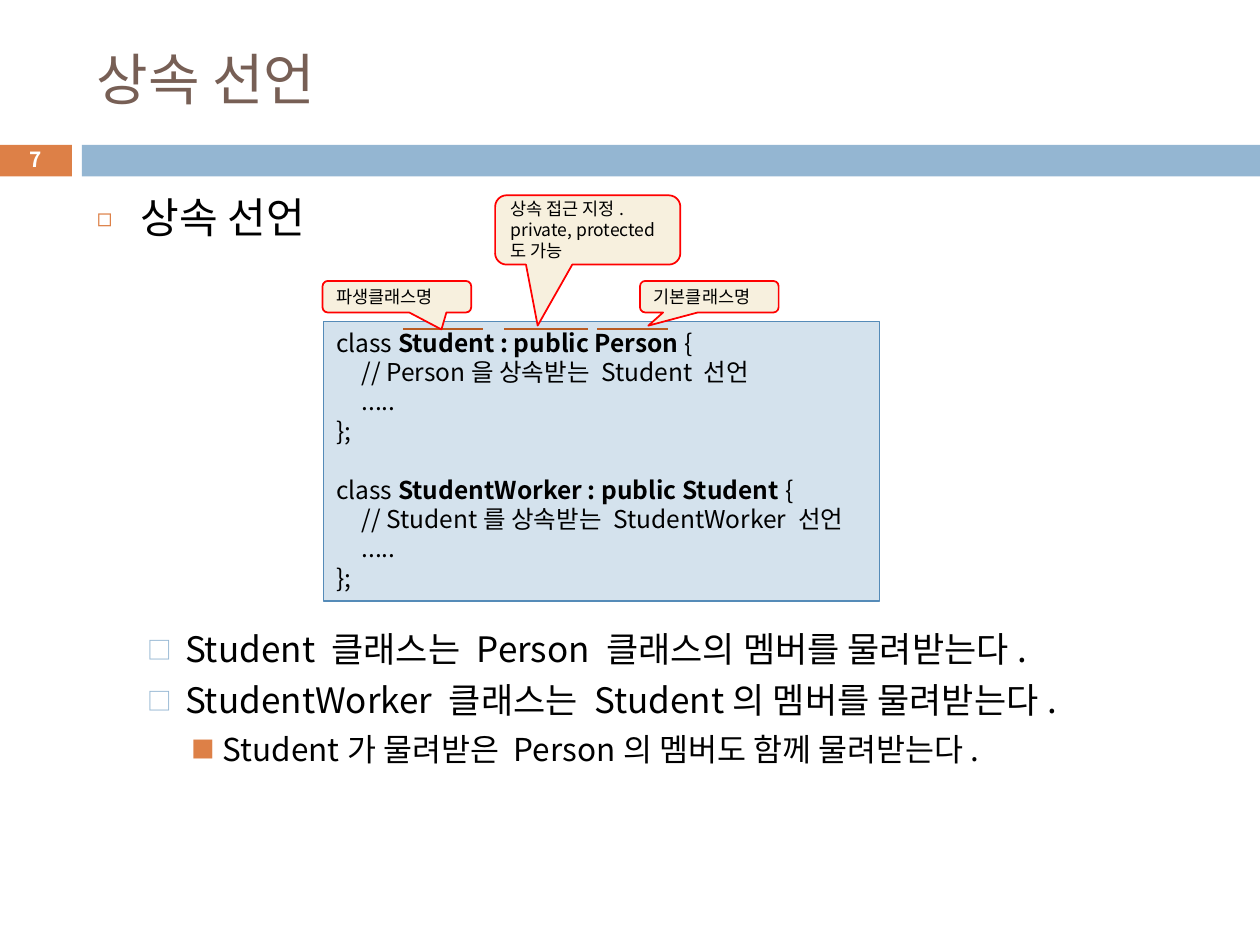
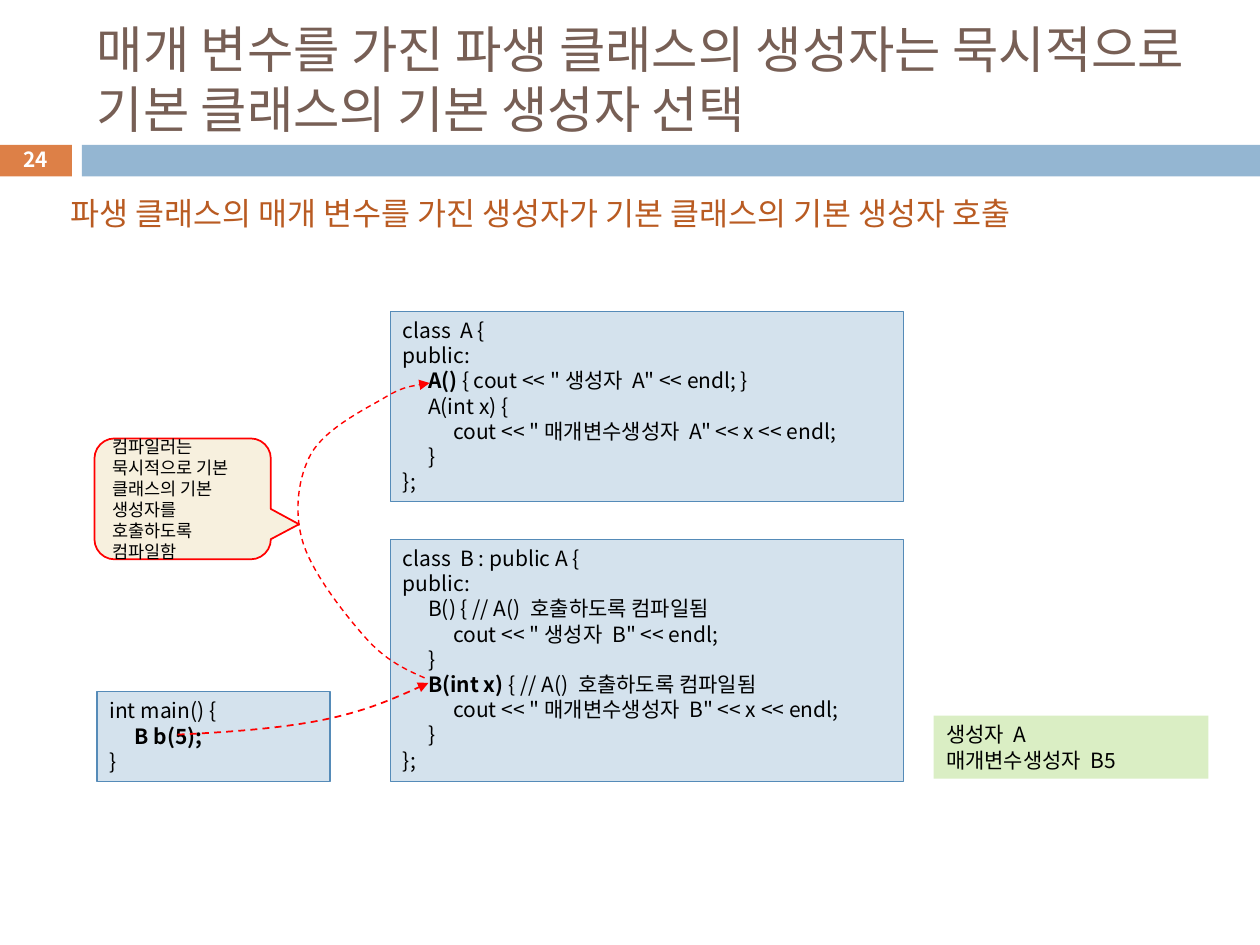
from pptx import Presentation
from pptx import util as u
from pptx.dml.color import RGBColor
from pptx.enum import dml, shapes, text
from pptx.oxml.ns import qn
from lxml import etree

COLS, ROWS = 100, 75        # grid of the 10 x 7.5 inch slide
CELL = u.Inches(0.1)
FONT = "Noto Sans CJK KR"
LINE_HEIGHT = 1.2           # line pitch as a multiple of the text size

BLACK = RGBColor(0x00, 0x00, 0x00)
WHITE = RGBColor(0xFF, 0xFF, 0xFF)
BROWN = RGBColor(0x77, 0x5F, 0x55)
ORANGE = RGBColor(0xDD, 0x80, 0x47)
RUST = RGBColor(0xB9, 0x5B, 0x22)
BAND = RGBColor(0x94, 0xB6, 0xD2)
CODE_FILL = RGBColor(0xD4, 0xE2, 0xED)
CODE_LINE = RGBColor(0x55, 0x8B, 0xB8)
CREAM = RGBColor(0xF7, 0xF0, 0xDE)
RED = RGBColor(0xFF, 0x00, 0x00)
GREEN = RGBColor(0xDA, 0xEE, 0xC4)

# Bullet levels: size, indent, hanging (cells), space before, mark, colour, percent
LEVELS = [
    (24, 3.5, 3.5, 7, "◻", ORANGE, 60),
    (20, 7, 3, 5.5, "□", BAND, 70),
    (18, 10, 2.5, 5, "■", ORANGE, 75),
]


def grid(*cells):
    """Turn grid cells into lengths."""
    return [u.Emu(round(c * CELL)) for c in cells]


def sub(parent, tag, **attrs):
    el = etree.SubElement(parent, qn(tag))
    for name, value in attrs.items():
        el.set(name, str(value))
    return el


def write(tf, line, size=12, color=BLACK, bold=False, align=text.PP_ALIGN.LEFT,
          before=0, tabs=()):
    """Add one paragraph; parts between ** marks are bold."""
    p = tf.paragraphs[0] if not tf.text else tf.add_paragraph()
    p.alignment = align
    p.line_spacing = u.Pt(round(size * LINE_HEIGHT, 1))
    p.space_before = u.Pt(before)
    if tabs:
        stops = sub(p._p.get_or_add_pPr(), "a:tabLst")
        for pos in grid(*tabs):
            sub(stops, "a:tab", pos=pos, algn="l")
    for i, part in enumerate(line.split("**")):
        if part:
            r = p.add_run()
            r.text = part
            r.font.size = u.Pt(size)
            r.font.name = FONT
            r.font.bold = bold or i % 2 == 1
            r.font.color.rgb = color
            sub(r._r.get_or_add_rPr(), "a:ea", typeface=FONT)
    return p


class Deck:
    def __init__(self):
        self.prs = Presentation()
        self.prs.slide_width, self.prs.slide_height = grid(COLS, ROWS)
        self.s = None

    def slide(self, number, title, size):
        """Start a slide with the shared bands, title and number."""
        self.s = self.prs.slides.add_slide(self.prs.slide_layouts[6])
        self.shape((-0.1, 11.5, 5.8, 2.5), ORANGE)
        self.shape((6.5, 11.5, 93.5, 2.5), BAND)
        middle = text.MSO_ANCHOR.MIDDLE
        write(self.textbox((6.7, 2.5, 89.2, 7.4), middle), title, size=size, color=BROWN)
        write(self.textbox((-0.1, 11.3, 5.8, 2.7), middle), str(number), size=11.9,
              color=WHITE, bold=True, align=text.PP_ALIGN.CENTER)

    def textbox(self, box, anchor=text.MSO_ANCHOR.TOP):
        tf = self.s.shapes.add_textbox(*grid(*box)).text_frame
        tf.word_wrap = True
        tf.vertical_anchor = anchor
        return tf

    def shape(self, box, fill, line=None, width=0.75,
              kind=shapes.MSO_SHAPE.RECTANGLE, anchor=text.MSO_ANCHOR.TOP):
        sp = self.s.shapes.add_shape(kind, *grid(*box))
        sp.shadow.inherit = False
        sp.fill.solid()
        sp.fill.fore_color.rgb = fill
        if line is None:
            sp.line.fill.background()
        else:
            sp.line.color.rgb = line
            sp.line.width = u.Pt(width)
        sp.text_frame.word_wrap = True
        sp.text_frame.vertical_anchor = anchor
        return sp

    def panel(self, box, block, size=12, fill=CODE_FILL, line=CODE_LINE):
        """Box of code or output; a blank line in the block becomes a gap."""
        tf = self.shape(box, fill, line).text_frame
        gap = 0
        for row in block.strip("\n").split("\n"):
            if row:
                write(tf, row, size=size, before=gap, tabs=(2, 4))
                gap = 0
            else:
                gap = size * LINE_HEIGHT

    def callout(self, box, tip, *lines):
        """Rounded callout; the tip is its offset from the centre."""
        sp = self.shape(box, CREAM, RED, 1, anchor=text.MSO_ANCHOR.MIDDLE,
                        kind=shapes.MSO_SHAPE.ROUNDED_RECTANGULAR_CALLOUT)
        sp.adjustments[0], sp.adjustments[1] = tip
        for line in lines:
            write(sp.text_frame, line, size=10)

    def bullet(self, tf, level, line, before=None):
        size, indent, hang, space, mark, color, percent = LEVELS[level]
        p = write(tf, line, size=size, before=space if before is None else before)
        pPr = p._p.get_or_add_pPr()
        left, hanging = grid(indent, hang)
        pPr.set("marL", str(left))
        pPr.set("indent", str(-hanging))
        sub(sub(pPr, "a:buClr"), "a:srgbClr", val=color)
        sub(pPr, "a:buSzPct", val=percent * 1000)
        sub(pPr, "a:buFont", typeface=FONT)
        sub(pPr, "a:buChar", char=mark)

    def underline(self, x1, x2, y):
        ln = self.s.shapes.add_connector(shapes.MSO_CONNECTOR.STRAIGHT,
                                         *grid(x1, y, x2, y))
        ln.line.color.rgb = RUST
        ln.line.width = u.Pt(1.5)
        sub(ln._element.spPr, "a:effectLst")

    def curved_arrow(self, points, width):
        """Dashed arrow; after the start, each three points make one Bézier piece."""
        start, *rest = [grid(*pt) for pt in points]
        builder = self.s.shapes.build_freeform(*start)
        builder.add_line_segments(rest, close=False)
        sp = builder.convert_to_shape()
        steps = list(sp._element.iter(qn("a:lnTo")))
        for i in range(0, len(steps), 3):
            curve = etree.Element(qn("a:cubicBezTo"))
            steps[i].addprevious(curve)
            for step in steps[i:i + 3]:
                curve.append(step[0])
                step.getparent().remove(step)
        sp.shadow.inherit = False
        sp.fill.background()
        sp.line.color.rgb = RED
        sp.line.width = u.Pt(width)
        sp.line.dash_style = dml.MSO_LINE.DASH
        sub(sp.line._get_or_add_ln(), "a:tailEnd", type="triangle")


INHERITANCE = """
class **Student : public Person **{
\t// Person을 상속받는 Student 선언
\t.....
};

class **StudentWorker : public Student **{
\t// Student를 상속받는 StudentWorker 선언
\t.....
};
"""

CLASS_A = """
class  A {
public:
\t**A() **{ cout << "생성자 A" << endl; }
\tA(int x) {
\t\tcout << "매개변수생성자 A" << x << endl;
\t}
};
"""

CLASS_B = """
class  B : public A {
public:
\tB() { // A() 호출하도록 컴파일됨
\t\tcout << "생성자 B" << endl;
\t}
\t**B(int x) **{ // A() 호출하도록 컴파일됨
\t\tcout << "매개변수생성자 B" << x << endl;
\t}
};
"""

MAIN = """
int main() {
\t**B b(5);**
}
"""

OUTPUT = """
생성자 A
매개변수생성자 B5
"""


def inheritance_slide(d):
    d.slide(7, "상속 선언", 32)

    # Bullets, with room for the code between the first and the second
    tf = d.textbox((6.7, 14.7, 89.2, 54.3))
    d.bullet(tf, 0, "상속 선언")
    d.bullet(tf, 1, "Student 클래스는 Person 클래스의 멤버를 물려받는다.", before=220.3)
    d.bullet(tf, 1, "StudentWorker 클래스는 Student의 멤버를 물려받는다.")
    d.bullet(tf, 2, "Student가 물려받은 Person의 멤버도 함께 물려받는다.")

    # Code with its marked parts
    d.panel((25.7, 25.5, 44.1, 22.2), INHERITANCE, size=14)
    for x1, x2 in ((32, 38.3), (40, 46.7), (47.4, 53)):
        d.underline(x1, x2, 26.1)
    d.callout((25.6, 22.3, 11.8, 2.5), (0.3, 1.04), "파생클래스명")
    d.callout((39.3, 15.5, 14.7, 5.5), (-0.27, 1.38),
              "상속 접근 지정.", "private, protected도 가능")
    d.callout((50.8, 22.3, 11, 2.5), (-0.44, 0.92), "기본클래스명")


def constructor_slide(d):
    d.slide(24, "매개 변수를 가진 파생 클래스의 생성자는 "
                "묵시적으로 기본 클래스의 기본 생성자 선택", 28.8)

    # Code and its output
    d.panel((31, 24.7, 40.7, 15.1), CLASS_A)
    d.panel((31, 42.8, 40.7, 19.2), CLASS_B)
    d.panel((7.7, 54.9, 18.5, 7.1), MAIN)
    d.panel((74.1, 56.8, 21.8, 5), OUTPUT, fill=GREEN, line=None)

    # Call from B(int x) to A()
    d.curved_arrow([(33.7, 53.8),
                    (32.1, 53.1), (30.6, 52.4), (29, 50.6),
                    (27.4, 48.8), (24.7, 45.4), (24, 42.9),
                    (23.3, 40.5), (23.7, 37.8), (24.7, 36),
                    (25.8, 34.1), (28.7, 32.6), (30.3, 31.7),
                    (31.9, 30.7), (33, 30.6), (34.1, 30.4)], 0.79)
    d.callout((7.5, 34.8, 14, 9.6), (0.66, 0.21),
              "컴파일러는 묵시적으로 기본 클래스의 기본 생성자를 호출하도록 컴파일함")

    # Subtitle
    write(d.textbox((4.6, 14.9, 87.1, 4)),
          "파생 클래스의 매개 변수를 가진 생성자가 기본 클래스의 기본 생성자 호출",
          size=18, color=RUST)

    # Call from main() to B(int x)
    d.curved_arrow([(14.1, 58.3),
                    (18.3, 58.1), (22.4, 57.8), (25.8, 57.1),
                    (29.1, 56.4), (31.6, 55.3), (34, 54.2)], 1)


def main():
    d = Deck()
    inheritance_slide(d)
    constructor_slide(d)
    d.prs.save("out.pptx")


if __name__ == "__main__":
    main()
